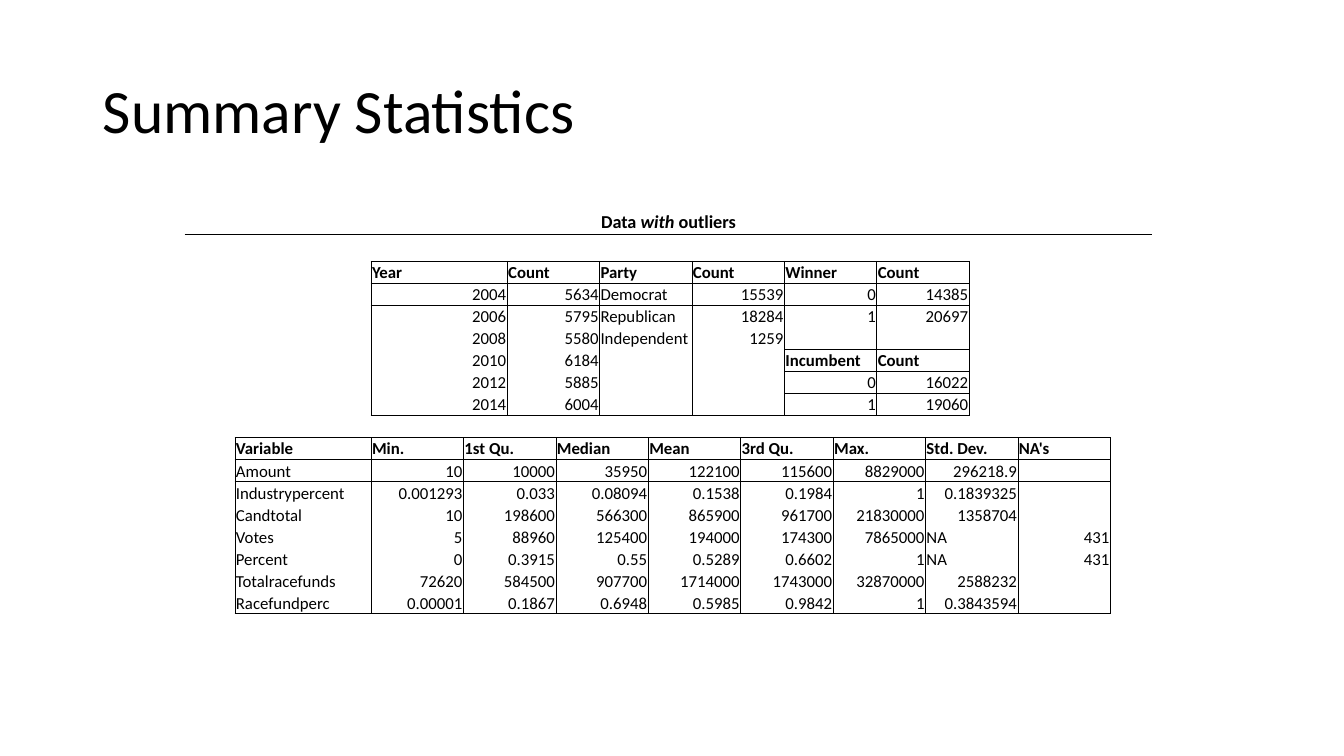
"""Build the Summary Statistics slide with its caption and two data tables."""
from typing import NamedTuple

from lxml import etree
from pptx import Presentation, util as u
from pptx.dml import color
from pptx.enum import text
from pptx.oxml import ns

WIDTH, HEIGHT = 13.33, 7.5
ROW, COLUMN, LABEL = 7 / 32, 11 / 12, 1.35
STATS_LEFT, COUNTS_TOP = 2.33, 2.59
FONT, INK = "Calibri", "000000"
NO_STYLE = "{2D5ABB26-0587-4C30-8999-92F81FD0307C}"


class Piece(NamedTuple):
    words: str
    bold: bool = False
    italic: bool = False


class Grid(NamedTuple):
    left: float
    top: float
    widths: list[float]
    rows: list[list[str]]
    subheads: tuple[str, ...] = ()


def paint(font, hex_color: str) -> None:
    font.color.rgb = color.RGBColor.from_string(hex_color)


def write(paragraph, pieces: list[Piece], size: float) -> None:
    for piece in pieces:
        run = paragraph.add_run()
        run.text = piece.words
        run.font.size, run.font.name = u.Pt(size), FONT
        run.font.bold, run.font.italic = piece.bold, piece.italic
        paint(run.font, INK)


def border(cell, sides: str) -> None:
    properties = cell._tc.get_or_add_tcPr()
    for order, side in enumerate(s for s in "LRTB" if s in sides):
        edge = etree.Element(ns.qn(f"a:ln{side}"), w=str(u.Pt(0.5)))
        fill = etree.SubElement(edge, ns.qn("a:solidFill"))
        etree.SubElement(fill, ns.qn("a:srgbClr"), val=INK)
        properties.insert(order, edge)


def fill_cell(cell, pieces: list[Piece], size: float, align, sides: str) -> None:
    cell.fill.background()
    cell.margin_left = cell.margin_right = cell.margin_top = u.Inches(0.01)
    cell.margin_bottom = 0
    cell.vertical_anchor = text.MSO_ANCHOR.BOTTOM
    paragraph = cell.text_frame.paragraphs[0]
    paragraph.alignment = align
    write(paragraph, pieces, size)
    if not pieces:
        etree.SubElement(paragraph._p, ns.qn("a:endParaRPr"), sz=str(size * 100))
    border(cell, sides)


def plain_table(slide, left: float, top: float, widths: list[float], heights: list[float]):
    frame = slide.shapes.add_table(
        len(heights), len(widths), u.Inches(left), u.Inches(top),
        u.Inches(sum(widths)), u.Inches(sum(heights)))
    table = frame.table
    table.first_row = table.horz_banding = False
    table._tbl.tblPr.find(ns.qn("a:tableStyleId")).text = NO_STYLE
    for column, width in zip(table.columns, widths):
        column.width = u.Inches(width)
    for row, height in zip(table.rows, heights):
        row.height = u.Inches(height)
    return table


def draw_grid(slide, grid: Grid) -> None:
    table = plain_table(slide, grid.left, grid.top, grid.widths, [ROW] * len(grid.rows))
    last = len(grid.rows) - 1
    for r, row in enumerate(grid.rows):
        for c, entry in enumerate(row):
            heading = r == 0 or entry in grid.subheads
            above_heading = r < last and grid.rows[r + 1][c] in grid.subheads
            below_heading = r == 1 or (r > 1 and grid.rows[r - 1][c] in grid.subheads)
            sides = "LR"
            if heading or below_heading:
                sides += "T"
            if heading or above_heading or r == last:
                sides += "B"
            numeric = entry.replace(".", "").isdigit()
            align = text.PP_ALIGN.RIGHT if numeric else text.PP_ALIGN.LEFT
            pieces = [Piece(entry, bold=heading)] if entry else []
            fill_cell(table.cell(r, c), pieces, 12, align, sides)


def draw_title(slide, words: str) -> None:
    title = slide.shapes.title
    title.left, title.top = u.Inches(0.92), u.Inches(0.4)
    title.width, title.height = u.Inches(11.5), u.Inches(1.45)
    title.text_frame.auto_size = text.MSO_AUTO_SIZE.NONE
    title.text_frame.vertical_anchor = text.MSO_ANCHOR.MIDDLE
    paragraph = title.text_frame.paragraphs[0]
    paragraph.alignment, paragraph.line_spacing = text.PP_ALIGN.LEFT, 0.9
    write(paragraph, [Piece(words)], 44)


def draw_caption(slide, pieces: list[Piece]) -> None:
    caption = plain_table(slide, 1.83, 2.08, [9.6], [0.24])
    fill_cell(caption.cell(0, 0), pieces, 13, text.PP_ALIGN.CENTER, "B")


counts = Grid(
    STATS_LEFT + LABEL, COUNTS_TOP, [LABEL] + [COLUMN] * 5,
    [["Year", "Count", "Party", "Count", "Winner", "Count"],
     ["2004", "5634", "Democrat", "15539", "0", "14385"],
     ["2006", "5795", "Republican", "18284", "1", "20697"],
     ["2008", "5580", "Independent", "1259", "", ""],
     ["2010", "6184", "", "", "Incumbent", "Count"],
     ["2012", "5885", "", "", "0", "16022"],
     ["2014", "6004", "", "", "1", "19060"]],
    subheads=("Incumbent", "Count"))

statistics = Grid(
    STATS_LEFT, COUNTS_TOP + 8 * ROW, [LABEL] + [COLUMN] * 8,
    [["Variable", "Min.", "1st Qu.", "Median", "Mean", "3rd Qu.", "Max.", "Std. Dev.", "NA's"],
     ["Amount", "10", "10000", "35950", "122100", "115600", "8829000", "296218.9", ""],
     ["Industrypercent", "0.001293", "0.033", "0.08094", "0.1538", "0.1984", "1", "0.1839325", ""],
     ["Candtotal", "10", "198600", "566300", "865900", "961700", "21830000", "1358704", ""],
     ["Votes", "5", "88960", "125400", "194000", "174300", "7865000", "NA", "431"],
     ["Percent", "0", "0.3915", "0.55", "0.5289", "0.6602", "1", "NA", "431"],
     ["Totalracefunds", "72620", "584500", "907700", "1714000", "1743000", "32870000", "2588232", ""],
     ["Racefundperc", "0.00001", "0.1867", "0.6948", "0.5985", "0.9842", "1", "0.3843594", ""]])

deck = Presentation()
deck.slide_width, deck.slide_height = u.Inches(WIDTH), u.Inches(HEIGHT)
summary = deck.slides.add_slide(deck.slide_layouts[5])
draw_title(summary, "Summary Statistics")
for grid in (counts, statistics):
    draw_grid(summary, grid)
draw_caption(summary, [Piece("Data ", True), Piece("with", True, True), Piece(" outliers", True)])
deck.save("out.pptx")
